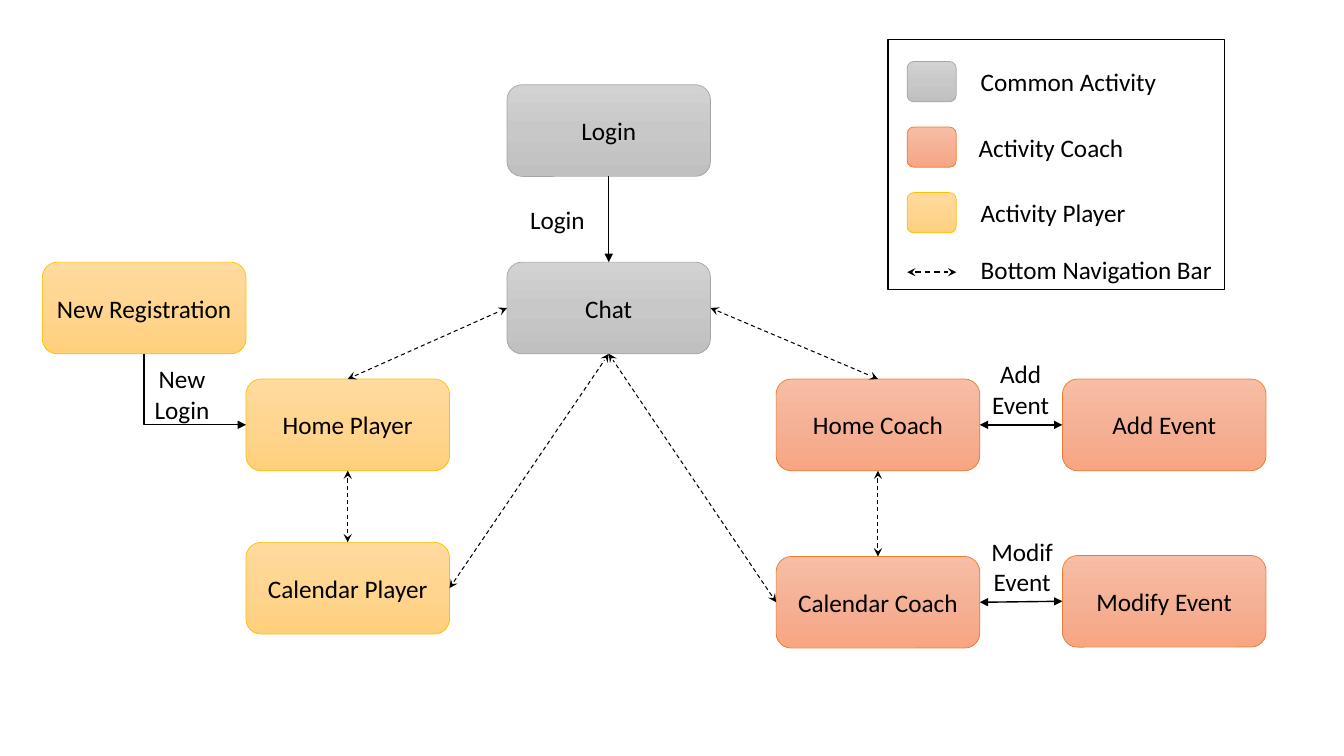
from copy import deepcopy
from typing import NamedTuple

from pptx import Presentation
from pptx.dml.color import RGBColor
from pptx.enum.dml import MSO_LINE
from pptx.enum.shapes import MSO_CONNECTOR as CONN, MSO_SHAPE as SHAPE
from pptx.enum.text import MSO_ANCHOR, MSO_AUTO_SIZE, PP_ALIGN
from pptx.oxml.ns import qn
from pptx.oxml.xmlchemy import OxmlElement
from pptx.util import Inches, Pt

TOP, LEFT, BOTTOM, RIGHT = range(4)

# All lengths are percentages of the slide's width or height.
COLS = (3.15, 18.3, 37.72, 57.75, 79.05)
ROWS = (11.2, 34.67, 50.13, 71.73, 73.47, 73.6)
NODE_W, NODE_H = 15.15, 12.13
LINE_H, TWO_LINES_H = 5.33, 9.47
KEY_X, KEY_W, KEY_Y, KEY_PITCH = 67.5, 3.65, 8.13, 8.67
NAV_Y = 36


class Theme(NamedTuple):
    stops: tuple[str, str, str]
    border: str


class Node(NamedTuple):
    text: str
    col: int
    row: int
    theme: Theme


class Link(NamedTuple):
    start: str
    start_side: int
    end: str
    end_side: int


class Label(NamedTuple):
    text: str
    x: float
    y: float
    w: float
    h: float = LINE_H
    align: PP_ALIGN = PP_ALIGN.LEFT


class Stroke(NamedTuple):
    width: float
    tail: str
    head: str = ""
    dashed: bool = False


COMMON = Theme(("D2D2D2", "C8C8C8", "C0C0C0"), "A5A5A5")
COACH = Theme(("F7BDA5", "F5B196", "F8A582"), "ED7D31")
PLAYER = Theme(("FFDB9E", "FFD590", "FFD07C"), "FFC000")

ONE_WAY = Stroke(1, "triangle")
TWO_WAY = Stroke(1, "triangle", "triangle")
NAVIGATION = Stroke(0.75, "stealth", "stealth", True)
NAVIGATION_KEY = NAVIGATION._replace(width=1)

NODES = (
    Node("Login", 2, 0, COMMON),
    Node("Chat", 2, 1, COMMON),
    Node("New Registration", 0, 1, PLAYER),
    Node("Home Player", 1, 2, PLAYER),
    Node("Calendar Player", 1, 3, PLAYER),
    Node("Home Coach", 3, 2, COACH),
    Node("Calendar Coach", 3, 5, COACH),
    Node("Add Event", 4, 2, COACH),
    Node("Modify Event", 4, 4, COACH),
)
LINKS = {
    ONE_WAY: (
        Link("Login", BOTTOM, "Chat", TOP),
        Link("New Registration", BOTTOM, "Home Player", LEFT),
    ),
    TWO_WAY: (
        Link("Home Coach", RIGHT, "Add Event", LEFT),
        Link("Calendar Coach", RIGHT, "Modify Event", LEFT),
    ),
    NAVIGATION: (
        Link("Chat", RIGHT, "Home Coach", TOP),
        Link("Home Player", TOP, "Chat", LEFT),
        Link("Home Player", BOTTOM, "Calendar Player", TOP),
        Link("Calendar Player", RIGHT, "Chat", BOTTOM),
        Link("Home Coach", BOTTOM, "Calendar Coach", TOP),
        Link("Calendar Coach", LEFT, "Chat", BOTTOM),
    ),
}
LABELS = (
    Label("Login", 38.7, 26.4, 5.63),
    Label("New\nLogin", 10.73, 47.47, 5.63, TWO_LINES_H, PP_ALIGN.CENTER),
    Label("Add\nEvent", 73.05, 46.8, 5.78, TWO_LINES_H, PP_ALIGN.CENTER),
    Label("Modif\nEvent", 72.98, 70.27, 6.15, TWO_LINES_H, PP_ALIGN.CENTER),
    Label("Common Activity", 72.23, KEY_Y, 14.7),
    Label("Activity Coach", 72.08, KEY_Y + KEY_PITCH, 12.38),
    Label("Activity Player", 72.23, KEY_Y + 2 * KEY_PITCH, 12.38),
    Label("Bottom Navigation Bar", 72.23, 32.93, 18.9),
)

prs = Presentation()
prs.slide_width, prs.slide_height = Inches(13.33), Inches(7.5)
shapes = prs.slides.add_slide(prs.slide_layouts[6]).shapes


def px(share: float) -> int:
    """Horizontal length from a share of the slide's width."""
    return round(prs.slide_width * share / 100)


def py(share: float) -> int:
    """Vertical length from a share of the slide's height."""
    return round(prs.slide_height * share / 100)


def rgb(color: str) -> RGBColor:
    return RGBColor.from_string(color)


def write(tf, text: str, align: PP_ALIGN) -> None:
    tf.text = text
    for p in tf.paragraphs:
        p.alignment = align
        p.font.name, p.font.size = "Calibri", Pt(18)
        p.font.color.rgb = rgb("000000")


def add_box(x: float, y: float, w: float, h: float, theme: Theme):
    """Rounded rectangle with the theme's vertical three-stop gradient."""
    s = shapes.add_shape(SHAPE.ROUNDED_RECTANGLE, px(x), py(y), px(w), py(h))
    s.shadow.inherit = False
    s.fill.gradient()
    s.fill.gradient_angle = 270
    stop_list = s.fill._xPr.find(qn("a:gradFill")).find(qn("a:gsLst"))
    stop_list.insert(1, deepcopy(stop_list[0]))
    for i, (stop, color) in enumerate(zip(s.fill.gradient_stops, theme.stops)):
        stop.position = i / 2
        stop.color.rgb = rgb(color)
    s.line.color.rgb, s.line.width = rgb(theme.border), Pt(0.5)
    return s


def add_node(node: Node):
    s = add_box(COLS[node.col], ROWS[node.row], NODE_W, NODE_H, node.theme)
    s.text_frame.vertical_anchor = MSO_ANCHOR.MIDDLE
    write(s.text_frame, node.text, PP_ALIGN.CENTER)
    return s


def add_line(stroke: Stroke, x1: float = 0, y1: float = 0, x2: float = 0, y2: float = 0):
    c = shapes.add_connector(CONN.STRAIGHT, px(x1), py(y1), px(x2), py(y2))
    c._element.spPr.append(OxmlElement("a:effectLst"))
    c.line.color.rgb, c.line.width = rgb("000000"), Pt(stroke.width)
    if stroke.dashed:
        c.line.dash_style = MSO_LINE.DASH
    for tag, kind in (("a:headEnd", stroke.head), ("a:tailEnd", stroke.tail)):
        if kind:
            end = OxmlElement(tag)
            end.set("type", kind)
            c.line._get_or_add_ln().append(end)
    return c


def bend(c) -> None:
    """Turn a connector running down and right into a single down-then-right bend."""
    w, h = c.width, c.height
    c.left, c.top = c.left + (w - h) // 2, c.top + (h - w) // 2
    c.width, c.height = h, w
    spPr = c._element.spPr
    spPr.find(qn("a:prstGeom")).set("prst", "bentConnector2")
    spPr.xfrm.set("rot", str(270 * 60000))
    spPr.xfrm.set("flipH", "1")


def add_label(label: Label) -> None:
    s = shapes.add_textbox(px(label.x), py(label.y), px(label.w), py(label.h))
    tf = s.text_frame
    tf.word_wrap, tf.auto_size = False, MSO_AUTO_SIZE.SHAPE_TO_FIT_TEXT
    write(tf, label.text, label.align)


boxes = {node.text: add_node(node) for node in NODES}
for stroke, links in LINKS.items():
    for link in links:
        c = add_line(stroke)
        c.begin_connect(boxes[link.start], link.start_side)
        c.end_connect(boxes[link.end], link.end_side)
        if (link.start_side, link.end_side) == (BOTTOM, LEFT):
            bend(c)

for i, theme in enumerate((COMMON, COACH, PLAYER)):
    add_box(KEY_X, KEY_Y + i * KEY_PITCH, KEY_W, LINE_H, theme)
add_line(NAVIGATION_KEY, KEY_X, NAV_Y, KEY_X + KEY_W, NAV_Y)
frame = shapes.add_shape(SHAPE.RECTANGLE, px(66.08), py(5.2), px(25.05), py(33.07))
frame.shadow.inherit = False
frame.fill.background()
frame.line.color.rgb, frame.line.width = rgb("000000"), Pt(1)

for label in LABELS:
    add_label(label)

prs.save("out.pptx")
